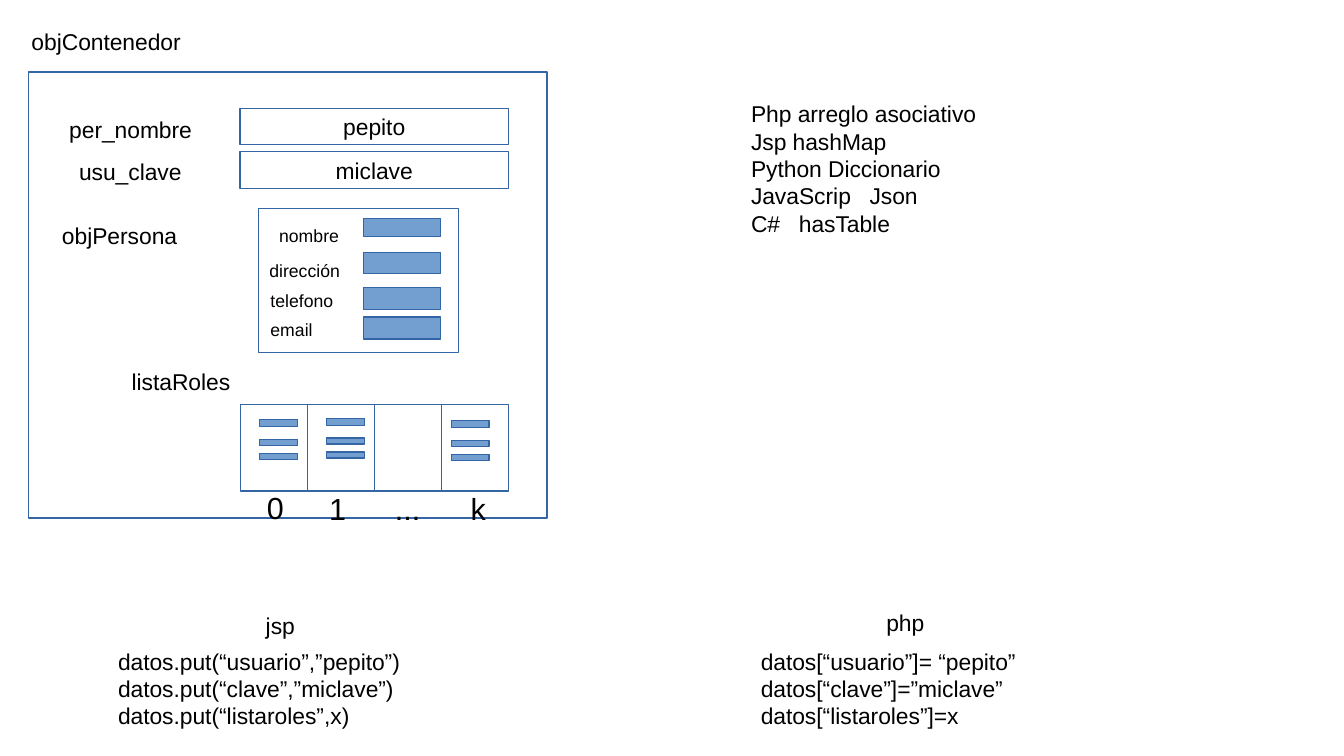
import dataclasses

import lxml.etree
import pptx
import pptx.dml.color
import pptx.enum.shapes
import pptx.enum.text
import pptx.oxml.ns
import pptx.util

Pt = pptx.util.Pt


@dataclasses.dataclass(frozen=True)
class Theme:
    font: str = "Arial"
    text: str = "000000"
    line: str = "3465A4"
    fill: str = "729FCF"
    body: float = 13.5
    index: float = 18
    hairline: float = 0


THEME = Theme()


def rgb(value):
    return pptx.dml.color.RGBColor.from_string(value)


def format_paragraph(p, size):
    p.font.name = THEME.font
    p.font.size = Pt(size)
    p.font.color.rgb = rgb(THEME.text)


def add_tab_stop(p, position):
    qn = pptx.oxml.ns.qn
    tabs = lxml.etree.SubElement(p._p.get_or_add_pPr(), qn("a:tabLst"))
    lxml.etree.SubElement(tabs, qn("a:tab"), pos=str(Pt(position)), algn="l")


def add_box(s, x, y, w, h, fill=None, text=None):
    sp = s.shapes.add_shape(
        pptx.enum.shapes.MSO_SHAPE.RECTANGLE, Pt(x), Pt(y), Pt(w), Pt(h))
    sp.shadow.inherit = False
    sp.line.color.rgb = rgb(THEME.line)
    sp.line.width = Pt(THEME.hairline)
    if fill:
        sp.fill.solid()
        sp.fill.fore_color.rgb = rgb(fill)
    else:
        sp.fill.background()
    if text:
        tf = sp.text_frame
        tf.vertical_anchor = pptx.enum.text.MSO_ANCHOR.MIDDLE
        p = tf.paragraphs[0]
        p.text = text
        p.alignment = pptx.enum.text.PP_ALIGN.CENTER
        format_paragraph(p, THEME.body)


def add_text(s, x, y, w, h, lines, size=THEME.body, tab_stops=None, raised=False):
    tf = s.shapes.add_textbox(Pt(x), Pt(y), Pt(w), Pt(h)).text_frame
    tf.word_wrap = True
    for i, line in enumerate(lines):
        p = tf.add_paragraph() if i else tf.paragraphs[0]
        p.text = line
        if tab_stops and line in tab_stops:
            add_tab_stop(p, tab_stops[line])
        format_paragraph(p, size)
        if raised:
            for r in p.runs:
                r._r.get_or_add_rPr().set("baseline", "33000")


def add_container(s):
    add_box(s, 17, 42.5, 306, 263.5)
    labels = [
        ("objContenedor", 11.5, 13),
        ("per_nombre", 33.8, 64.8),
        ("usu_clave", 39.6, 89.5),
        ("objPersona", 29.5, 127.4),
        ("listaRoles", 70.6, 213.8),
    ]
    for label, x, y in labels:
        add_text(s, x, y, 110, 22.5, [label])
    for i, value in enumerate(["pepito", "miclave"]):
        add_box(s, 141.8, 64 + i * 25.6, 158.4, 21.6, text=value)


def add_person(s):
    add_box(s, 152.6, 123.1, 118.1, 85)
    fields = [
        ("nombre", 157.7, 127.4, 128.9, 10.8),
        ("dirección", 151.9, 148.3, 149, 12.4),
        ("telefono", 152.6, 166.3, 169.9, 13),
        ("email", 152.6, 182.9, 187.2, 13),
    ]
    for label, x, label_y, bar_y, bar_h in fields:
        add_box(s, 214.6, bar_y, 45.4, bar_h, THEME.fill)
        add_text(s, x, label_y, 60, 27.4, [label], THEME.index, raised=True)


def add_roles(s):
    left, top, cell_w, cell_h = 141.8, 239, 39.6, 51.1
    indices = [("0", 150.5, 285.1), ("1", 187.2, 285.9),
               ("...", 226.1, 285.9), ("k", 270.7, 285.9)]
    for i, (label, x, y) in enumerate(indices):
        add_box(s, left + i * cell_w, top, cell_w, cell_h)
        add_text(s, x, y, 32, 27.4, [label], THEME.index)
    for x, y in [(153.4, 247.7), (193, 247), (266.4, 248.4)]:
        for offset, bar_h in [(0, 4.3), (11.7, 3.6), (20, 3.6)]:
            add_box(s, x, y + offset, 22.4, bar_h, THEME.fill)


def add_code(s):
    add_text(s, 149.8, 357.8, 40, 22.5, ["jsp"])
    add_text(s, 62.6, 378.7, 278, 63, [
        "datos.put(“usuario”,”pepito”)",
        "datos.put(“clave”,”miclave”)",
        "datos.put(“listaroles”,x)",
    ])
    add_text(s, 516.2, 355.7, 44, 22.5, ["php"])
    add_text(s, 442.1, 378.7, 227, 63, [
        "datos[“usuario”]= “pepito”",
        "datos[“clave”]=”miclave”",
        "datos[“listaroles”]=x",
    ])


def add_languages(s):
    tab_stops = {"JavaScrip\tJson": 70, "C#\thasTable": 28.3}
    add_text(s, 436.3, 55.4, 195, 82, [
        "Php arreglo asociativo",
        "Jsp hashMap",
        "Python Diccionario",
        *tab_stops,
    ], tab_stops=tab_stops)


def main():
    prs = pptx.Presentation()
    prs.slide_width = Pt(793.5)
    prs.slide_height = Pt(446.5)
    s = prs.slides.add_slide(prs.slide_layouts[6])
    add_container(s)
    add_person(s)
    add_roles(s)
    add_code(s)
    add_languages(s)
    prs.save("out.pptx")


if __name__ == "__main__":
    main()
